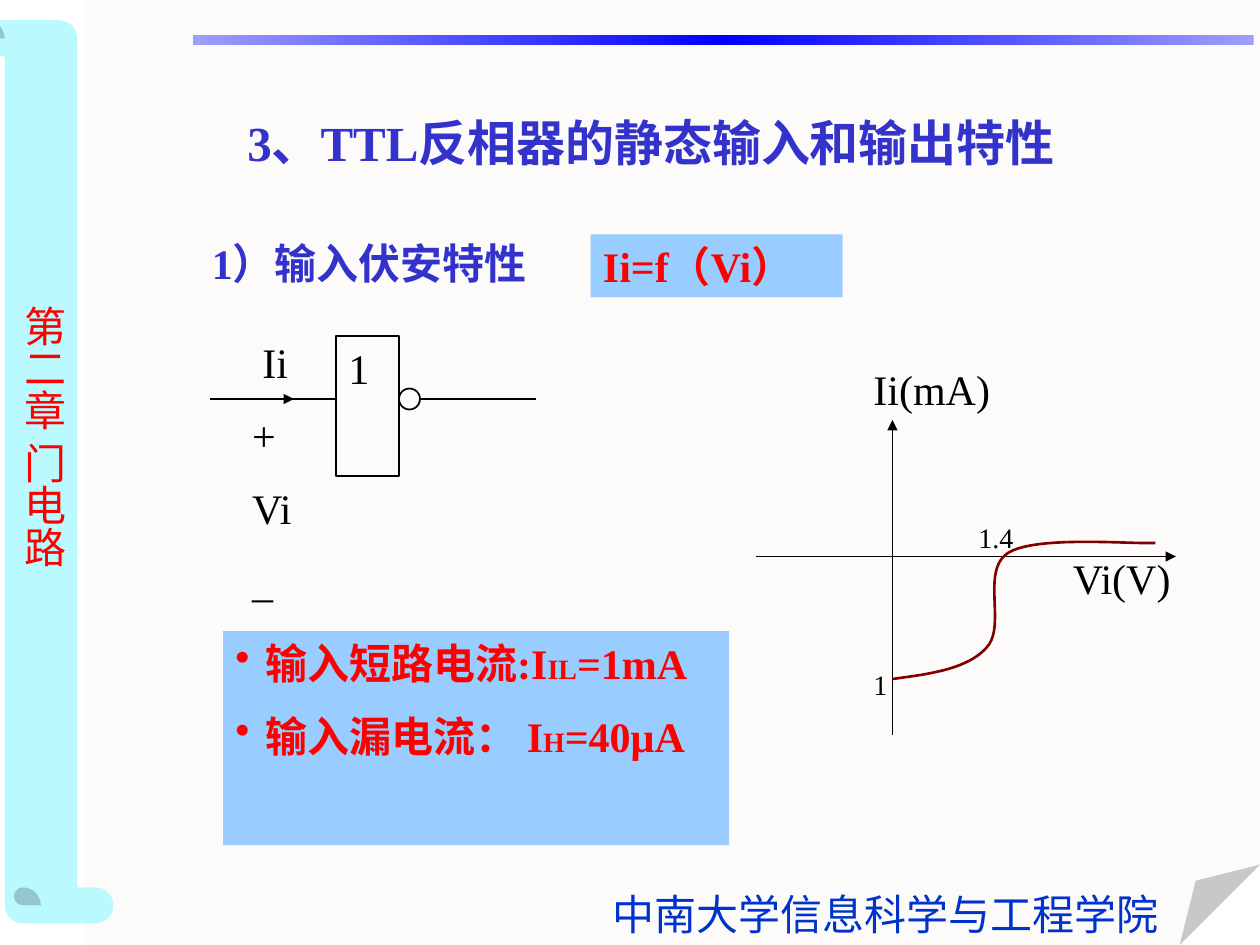
import copy
import pptx
import pptx.util
import pptx.dml.color
import pptx.enum.shapes
import pptx.enum.text
import pptx.oxml
import pptx.oxml.ns

Pt = pptx.util.Pt
RGBColor = pptx.dml.color.RGBColor
SHAPE = pptx.enum.shapes.MSO_SHAPE
ALIGN = pptx.enum.text.PP_ALIGN
ANCHOR = pptx.enum.text.MSO_ANCHOR
qn = pptx.oxml.ns.qn

BLACK = RGBColor(0, 0, 0)
RED = RGBColor(0xFF, 0, 0)
INDIGO = RGBColor(0x33, 0x33, 0xCC)
NAVY = RGBColor(0, 0x33, 0xCC)
MAROON = RGBColor(0x80, 0, 0)
SKY = RGBColor(0x99, 0xCC, 0xFF)
AQUA = RGBColor(0xBA, 0xF9, 0xFE)
PAPER = RGBColor(0xFC, 0xFB, 0xFA)
BLUE = RGBColor(0, 0, 0xFF)
LILAC = RGBColor(0x9E, 0x9E, 0xFF)
SERIF = "Times New Roman"
SANS = "Noto Sans CJK SC"
GAP = Pt(13)
HANG = Pt(17)


def make(parent, tag, **attrs):
    node = parent.makeelement(qn(tag), attrs)
    parent.append(node)
    return node


def adjust(part, share):
    """Set the single adjustment of a preset shape."""
    geom = part._element.spPr.find(qn("a:prstGeom"))
    make(geom.find(qn("a:avLst")), "a:gd", name="adj",
         fmla=f"val {round(share * 100000)}")


def write(frame, lines, size=24, color=BLACK, bold=False, face=SERIF,
          wrap=True, inset=True, bullet=False):
    """Fill a frame; each line is a list of (text, size or None) runs."""
    frame.word_wrap = wrap
    frame.vertical_anchor = ANCHOR.TOP
    if not inset:
        frame.margin_left = frame.margin_right = 0
        frame.margin_top = frame.margin_bottom = 0
    for i, runs in enumerate(lines):
        para = frame.add_paragraph() if i else frame.paragraphs[0]
        para.alignment = ALIGN.LEFT
        if i:
            para.space_before = GAP
        if bullet:
            props = para._p.get_or_add_pPr()
            props.set("marL", str(HANG))
            props.set("indent", str(-HANG))
            make(props, "a:buChar", char="•")
        font = para.font
        font.name, font.size, font.bold = face, Pt(size), bold
        font.color.rgb = color
        for words, small in runs:
            run = para.add_run()
            run.text = words
            if small:
                run.font.size = Pt(small)


def label(slide, box, *lines, **style):
    part = slide.shapes.add_textbox(*map(Pt, box))
    write(part.text_frame, [[(line, None)] for line in lines], **style)
    return part


def block(slide, kind, box, fill=None, edge=None):
    part = slide.shapes.add_shape(kind, *map(Pt, box))
    part.shadow.inherit = False
    if fill is None:
        part.fill.background()
    else:
        part.fill.solid()
        part.fill.fore_color.rgb = fill
    if edge is None:
        part.line.fill.background()
    else:
        part.line.color.rgb = edge
        part.line.width = Pt(1)
    return part


def wire(slide, x1, y1, x2, y2, arrow=False):
    part = slide.shapes.add_connector(
        pptx.enum.shapes.MSO_CONNECTOR.STRAIGHT, Pt(x1), Pt(y1), Pt(x2), Pt(y2))
    part.line.color.rgb = BLACK
    part.line.width = Pt(1)
    if arrow:
        make(part.line._get_or_add_ln(), "a:tailEnd", type="triangle")
    make(part._element.spPr, "a:effectLst")


def trace(start, curves, steps=20):
    """Points along a chain of cubic curves."""
    points = [start]
    for a, b, end in curves:
        for k in range(1, steps + 1):
            t = k / steps
            u = 1 - t
            points.append(tuple(
                u**3 * p + 3 * u * u * t * q + 3 * u * t * t * r + t**3 * s
                for p, q, r, s in zip(start, a, b, end)))
        start = end
    return points


def frame_page(slide, wide, high):
    # Paper with folded corner
    paper = block(slide, SHAPE.FOLDED_CORNER, (48, 0, wide - 48, high), PAPER)
    adjust(paper, 0.085)
    # Chapter scroll
    scroll = block(slide, SHAPE.HORIZONTAL_SCROLL, (-234.7, 228.2, 516.2, 82.8), AQUA)
    adjust(scroll, 0.25)
    scroll.rotation = 270
    # Gradient rule
    rule = block(slide, SHAPE.RECTANGLE, (110.2, 20.2, 606.2, 5.8), BLUE)
    rule.fill.gradient()
    rule.fill.gradient_angle = 0
    stops = rule._element.spPr.find(qn("a:gradFill")).find(qn("a:gsLst"))
    stops.insert(1, copy.deepcopy(stops[0]))
    for stop, place, color in zip(rule.fill.gradient_stops, (0, 0.5, 1),
                                  (LILAC, BLUE, LILAC)):
        stop.position = place
        stop.color.rgb = color
    # School and chapter names
    label(slide, (342.7, 504, 326.2, 36), "中南大学信息科学与工程学院",
          color=NAVY, wrap=False)
    side = label(slide, (0, 167.8, 43.2, 163.4), "第二章 门电路",
                 color=RED, face=SANS, wrap=False)
    side.text_frame._txBody.bodyPr.set("vert", "eaVert")


def head(slide, box):
    title = slide.shapes.title
    title.left, title.top, title.width, title.height = map(Pt, box)
    write(title.text_frame, [[("3、TTL反相器的静态输入和输出特性", None)]],
          size=28, color=INDIGO, bold=True)
    title.text_frame.vertical_anchor = ANCHOR.MIDDLE
    title.text_frame.paragraphs[0].alignment = ALIGN.CENTER
    # Bring in front of the paper
    slide.shapes._spTree.append(title._element)


def panel(slide, box, lines, bullet=False):
    part = block(slide, SHAPE.RECTANGLE, box, SKY)
    write(part.text_frame, lines, color=RED, bold=True, bullet=bullet)


def circuit(slide, x, y):
    mid = y + 36
    # Gate and bubble
    wire(slide, x + 24, mid, x + 72, mid)
    gate = block(slide, SHAPE.RECTANGLE, (x + 72, y, 36, 80), edge=BLACK)
    write(gate.text_frame, [[("1", None)]])
    block(slide, SHAPE.OVAL, (x + 108, mid - 6, 12, 12), edge=BLACK)
    wire(slide, x + 120, mid, x + 186, mid)
    # Input voltage and current
    label(slide, (x + 24, y + 42, 24, 115), "+", "Vi", "_", inset=False)
    label(slide, (x + 30, y, 36, 29), "Ii", inset=False)
    wire(slide, x, mid, x + 48, mid, arrow=True)


def graph(slide, x, y):
    # Axes
    label(slide, (x + 174, y + 108, 72, 36), "Vi(V)")
    wire(slide, x, y + 114, x + 240, y + 114, arrow=True)
    wire(slide, x + 78, y + 216, x + 78, y + 36, arrow=True)
    # Input curve
    points = trace((78, 184), [
        ((99.4, 181.2), (121, 178.3), (131.8, 166)),
        ((143.3, 153.8), (128.2, 122.2), (144, 112)),
        ((159.8, 102), (213.1, 107), (228.2, 106.3))])
    spots = [(Pt(x + a), Pt(y + b)) for a, b in points]
    pen = slide.shapes.build_freeform(*spots[0])
    pen.add_line_segments(spots[1:], close=False)
    curve = pen.convert_to_shape()
    curve.shadow.inherit = False
    curve.fill.background()
    curve.line.color.rgb = MAROON
    curve.line.width = Pt(1.5)
    # Labels
    label(slide, (x + 60, y, 132, 36), "Ii(mA)")
    label(slide, (x + 60, y + 174, 30, 26.6), "1", size=16)
    label(slide, (x + 120, y + 90, 48, 26.6), "1.4", size=16)


def main():
    deck = pptx.Presentation()
    deck.slide_width, deck.slide_height = Pt(720), Pt(540)
    slide = deck.slides.add_slide(deck.slide_layouts[5])
    frame_page(slide, 720, 540)
    head(slide, (72, 36, 600, 90))
    label(slide, (114, 132, 360, 36), "1）输入伏安特性", color=INDIGO, bold=True)
    circuit(slide, 120, 192)
    panel(slide, (337.5, 134, 144, 36), [[("Ii=f（Vi）", None)]])
    panel(slide, (127.5, 360.7, 289.2, 122.3), [
        [("输入短路电流:I", None), ("IL", 16), ("=1mA", None)],
        [("输入漏电流： I", None), ("H", 16), ("=40μA", None)]], bullet=True)
    graph(slide, 432, 204)
    deck.save("out.pptx")


if __name__ == "__main__":
    main()
